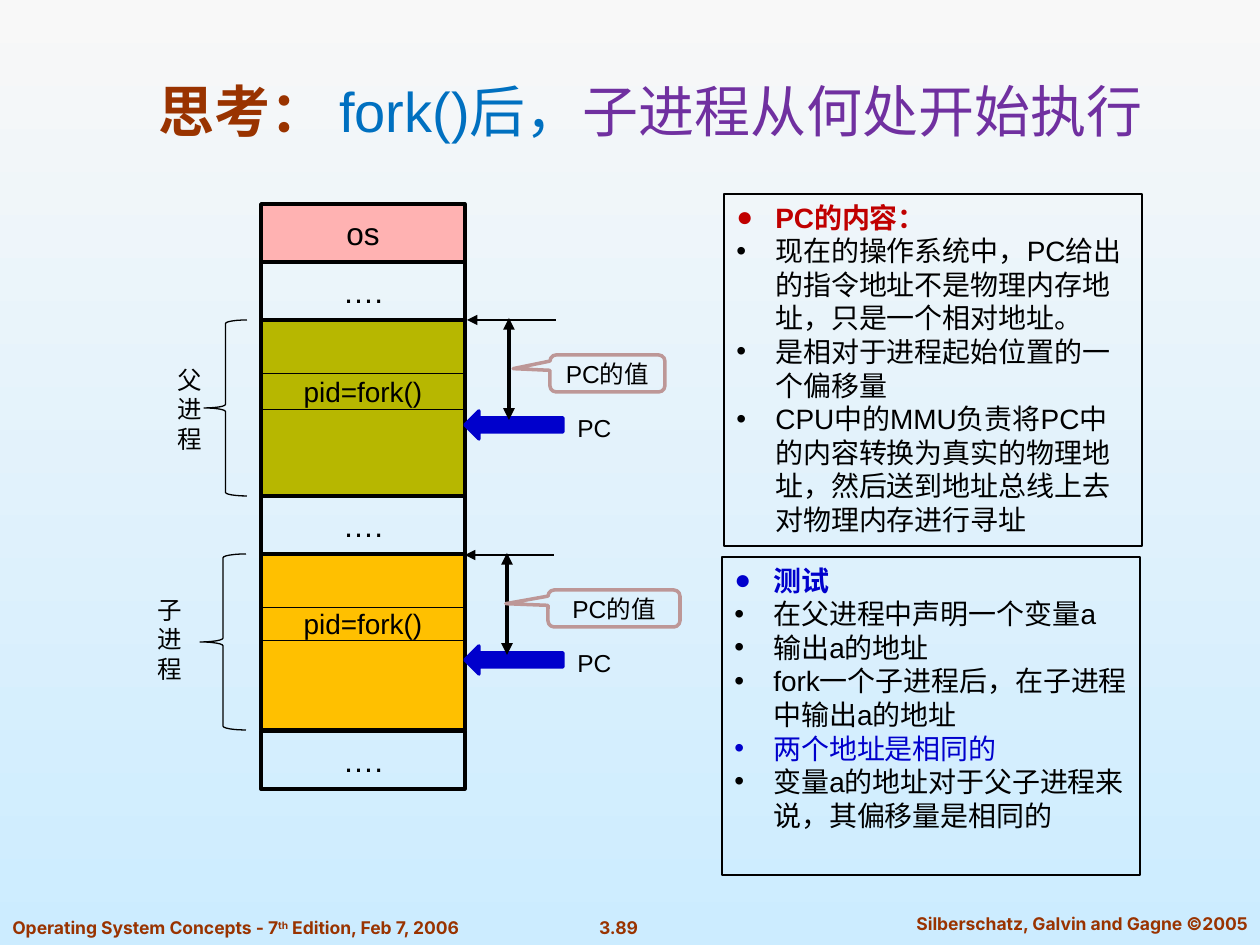
"""Build a slide on where a child process starts running after fork()."""
from lxml import etree
from pptx import Presentation
from pptx import util as u
from pptx.dml.color import RGBColor
from pptx.enum import shapes, text
from pptx.oxml.ns import qn

PX = 914400 / 126
BLACK = RGBColor(0x00, 0x00, 0x00)
BROWN = RGBColor(0x99, 0x33, 0x00)
SKY = RGBColor(0x00, 0x70, 0xC0)
PURPLE = RGBColor(0x70, 0x30, 0xA0)
PINK = RGBColor(0xFF, 0xB2, 0xB2)
OLIVE = RGBColor(0xB7, 0xB7, 0x00)
AMBER = RGBColor(0xFF, 0xC0, 0x00)
BLUE = RGBColor(0x00, 0x00, 0xCC)
RED = RGBColor(0xC0, 0x00, 0x00)
ROSE = RGBColor(0xBD, 0x97, 0x97)
BG_TOP = RGBColor(0xF8, 0xF8, 0xF8)
BG_BOTTOM = RGBColor(0xCC, 0xEC, 0xFF)
MEMORY_X, MEMORY_W = 261, 204


def px(*values):
    return [u.Emu(round(v * PX)) for v in values]


def style(r, size, color, bold=False, font="Arial"):
    r.font.size = u.Pt(size)
    r.font.name = font
    r.font.bold = bold
    r.font.color.rgb = color


def add_text(s, box, runs, size, align=text.PP_ALIGN.CENTER,
             anchor=text.MSO_ANCHOR.MIDDLE, wrap=True, font="Arial"):
    tf = s.shapes.add_textbox(*px(*box)).text_frame
    tf.word_wrap = wrap
    tf.vertical_anchor = anchor
    p = tf.paragraphs[0]
    p.alignment = align
    for words, color, bold in runs:
        r = p.add_run()
        r.text = words
        style(r, size, color, bold, font)
    return tf


def add_box(s, kind, box, fill=None, line=BLACK, width=2, label="", size=18):
    sp = s.shapes.add_shape(kind, *px(*box))
    sp.shadow.inherit = False
    if fill is None:
        sp.fill.background()
    else:
        sp.fill.solid()
        sp.fill.fore_color.rgb = fill
    sp.line.color.rgb = line
    sp.line.width = u.Pt(width)
    if label:
        tf = sp.text_frame
        tf.text = label
        tf.vertical_anchor = text.MSO_ANCHOR.MIDDLE
        tf.paragraphs[0].alignment = text.PP_ALIGN.CENTER
        style(tf.paragraphs[0].runs[0], size, BLACK)
    return sp


def add_memory(s, top, height, fill=None, label="", width=2, size=18):
    add_box(s, shapes.MSO_SHAPE.RECTANGLE, (MEMORY_X, top, MEMORY_W, height),
            fill, BLACK, width, label, size)


def add_arrow(s, x1, y1, x2, y2, width, ends):
    cn = s.shapes.add_connector(shapes.MSO_CONNECTOR.STRAIGHT, *px(x1, y1, x2, y2))
    cn.line.color.rgb = BLACK
    cn.line.width = u.Pt(width)
    ln = cn.line._get_or_add_ln()
    for end in ends:
        etree.SubElement(ln, qn("a:" + end)).set("type", "triangle")
    etree.SubElement(cn._element.spPr, qn("a:effectLst"))


def add_process(s, top, fill, code_h, brace, name, name_at):
    add_memory(s, top, 176, fill)
    add_memory(s, top + 53, code_h, label="pid=fork()", width=0.25, size=16)
    x, w = brace
    add_box(s, shapes.MSO_SHAPE.LEFT_BRACE, (x, top, w, 176), width=0.75)
    add_text(s, (*name_at, 69, 92), [(name, BLACK, False)], 14)


def add_counter(s, top, x, callout_w):
    add_box(s, shapes.MSO_SHAPE.LEFT_ARROW, (465, top + 91, 98, 28), BLUE, BLUE)
    add_text(s, (563, top + 84, 63, 47), [("PC", BLACK, False)], 14)
    add_arrow(s, x, top, x + 89, top, 1.5, ["headEnd"])
    add_arrow(s, x + 42, top - 2, x + 42, top + 100, 2.25, ["headEnd", "tailEnd"])
    sp = add_box(s, shapes.MSO_SHAPE.ROUNDED_RECTANGULAR_CALLOUT,
                 (x + 83, top + 35, callout_w, 37), None, ROSE, 2, "PC的值", 14)
    for i, value in enumerate((-0.82, -0.13, 0.17)):
        sp.adjustments[i] = value


def add_panel(s, box, items):
    sp = add_box(s, shapes.MSO_SHAPE.RECTANGLE, box, width=0.75)
    tf = sp.text_frame
    tf.vertical_anchor = text.MSO_ANCHOR.TOP
    tf.text = "\n".join(words for words, _ in items)
    for i, (p, (_, color)) in enumerate(zip(tf.paragraphs, items)):
        p.alignment = text.PP_ALIGN.LEFT
        style(p.runs[0], 16, color, i == 0)
        pPr = p._p.get_or_add_pPr()
        indent = u.Inches(0.31)
        pPr.set("marL", str(indent))
        pPr.set("indent", str(-indent))
        etree.SubElement(pPr, qn("a:buFont")).set("typeface", "Arial")
        etree.SubElement(pPr, qn("a:buChar")).set("char", "•" if i else "●")


def add_background(s):
    fill = s.background.fill
    fill.gradient()
    fill.gradient_angle = 270
    for stop, color in zip(fill.gradient_stops, (BG_TOP, BG_BOTTOM)):
        stop.color.rgb = color


def add_footer(s):
    look = dict(size=10, anchor=text.MSO_ANCHOR.TOP, font="Inter")
    add_text(s, (578, 911, 81, 34), [("3.89", BROWN, True)], wrap=False, **look)
    add_text(s, (895, 907, 374, 34),
             [("Silberschatz, Galvin and Gagne ©2005", BROWN, True)], **look)
    tf = add_text(s, (0, 911, 515, 34),
                  [(words, BROWN, True) for words in
                   ("Operating System Concepts - 7", "th", " Edition, Feb 7, 2006")],
                  align=text.PP_ALIGN.LEFT, wrap=False, **look)
    tf.paragraphs[0].runs[1].font._element.set("baseline", "30000")


def main():
    prs = Presentation()
    prs.slide_width, prs.slide_height = u.Inches(10), u.Inches(7.5)
    s = prs.slides.add_slide(prs.slide_layouts[6])
    add_background(s)
    add_footer(s)
    add_text(s, (94, 66, 1113, 84),
             [("思考： ", BROWN, True), ("fork()后，", SKY, False),
              ("子进程从何处开始执行", PURPLE, False)],
             32, anchor=text.MSO_ANCHOR.BOTTOM)

    add_memory(s, 204, 58, PINK, "os")
    for top in (262, 496, 731):
        add_memory(s, top, 58, label="….")
    add_process(s, 320, OLIVE, 36, (204, 43), "父进程", (155, 363))
    add_process(s, 554, AMBER, 33, (200, 46), "子进程", (135, 593))
    add_counter(s, 320, 467, 115)
    add_counter(s, 555, 465, 132)

    add_panel(s, (724, 194, 418, 352), [
        ("PC的内容：", RED),
        ("现在的操作系统中，PC给出的指令地址不是物理内存地址，只是一个相对地址。", BLACK),
        ("是相对于进程起始位置的一个偏移量", BLACK),
        ("CPU中的MMU负责将PC中的内容转换为真实的物理地址，"
         "然后送到地址总线上去对物理内存进行寻址", BLACK)])
    add_panel(s, (722, 557, 418, 318), [
        ("测试", BLUE),
        ("在父进程中声明一个变量a", BLACK),
        ("输出a的地址", BLACK),
        ("fork一个子进程后，在子进程中输出a的地址", BLACK),
        ("两个地址是相同的", BLUE),
        ("变量a的地址对于父子进程来说，其偏移量是相同的", BLACK)])
    prs.save("out.pptx")


main()
